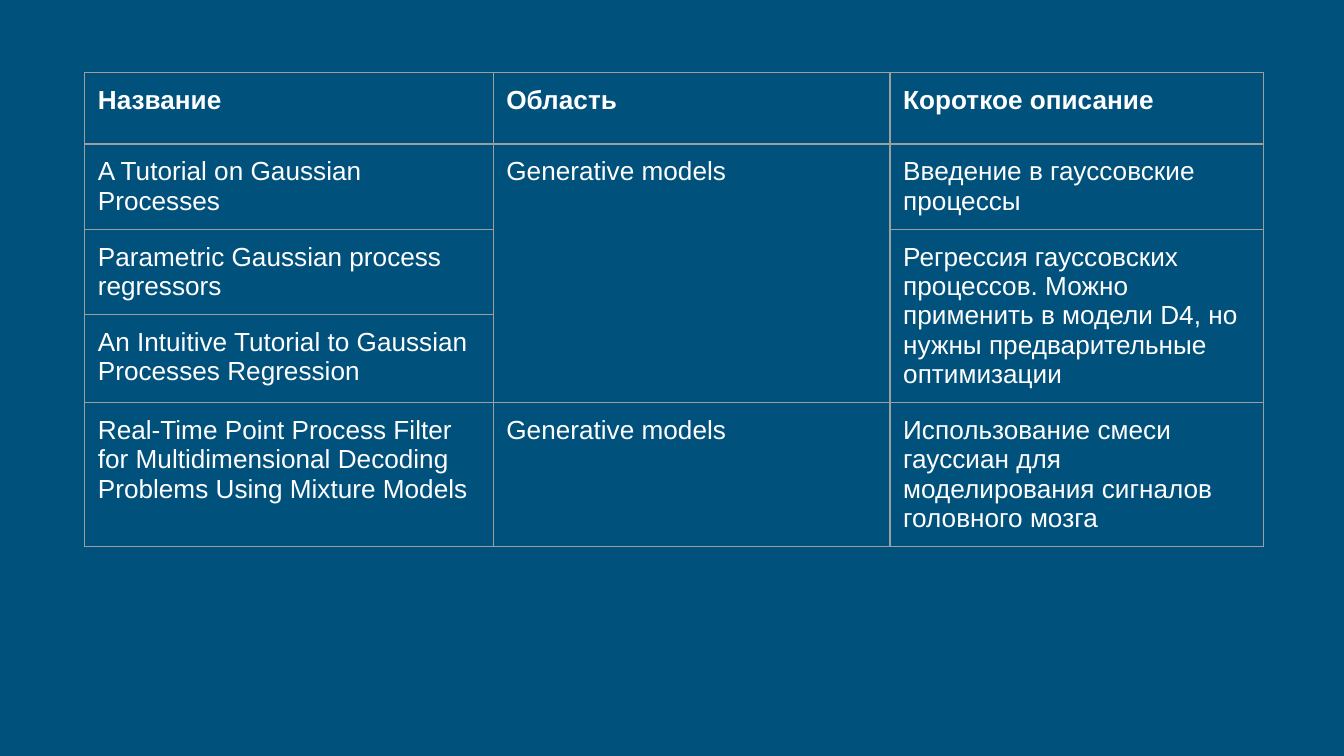
import lxml.etree
import pptx
import pptx.dml.color
import pptx.oxml.ns
import pptx.util

Cm = pptx.util.Cm


def color(value):
    return pptx.dml.color.RGBColor.from_string(value)


class SlideBuilder:
    font = "Arial"
    text_size = pptx.util.Pt(14)
    text_color = "FFFFFF"
    background = "00517C"
    border_color = "9E9E9E"
    border_width = pptx.util.Pt(0.75)
    inset = Cm(0.25)

    def __init__(self, presentation):
        self.slide = presentation.slides.add_slide(presentation.slide_layouts[6])
        fill = self.slide.background.fill
        fill.solid()
        fill.fore_color.rgb = color(self.background)

    def border(self, cell):
        properties = cell._tc.get_or_add_tcPr()
        qn = pptx.oxml.ns.qn
        for side in ("a:lnL", "a:lnR", "a:lnT", "a:lnB"):
            line = lxml.etree.SubElement(properties, qn(side), w=str(self.border_width))
            fill = lxml.etree.SubElement(line, qn("a:solidFill"))
            lxml.etree.SubElement(fill, qn("a:srgbClr"), val=self.border_color)

    def cell(self, cell, text, bold):
        self.border(cell)
        cell.fill.background()
        cell.margin_left = cell.margin_right = self.inset
        cell.margin_top = cell.margin_bottom = self.inset
        if text:
            run = cell.text_frame.paragraphs[0].add_run()
            run.text = text
            run.font.name = self.font
            run.font.size = self.text_size
            run.font.bold = bold
            run.font.color.rgb = color(self.text_color)

    def table(self, left, top, widths, heights, rows, merges):
        frame = self.slide.shapes.add_table(
            len(heights), len(widths), Cm(left), Cm(top),
            Cm(sum(widths)), Cm(sum(heights)))
        table = frame.table
        table.first_row = False
        table.horz_banding = False
        for column, width in zip(table.columns, widths):
            column.width = Cm(width)
        for row, height in zip(table.rows, heights):
            row.height = Cm(height)
        for row_index, row in enumerate(rows):
            for column_index, text in enumerate(row):
                self.cell(table.cell(row_index, column_index), text, row_index == 0)
        for first, last in merges:
            table.cell(*first).merge(table.cell(*last))


def main():
    presentation = pptx.Presentation()
    presentation.slide_width = Cm(25.4)
    presentation.slide_height = Cm(14.29)

    papers = [
        ("Название", "Область", "Короткое описание"),
        ("A Tutorial on Gaussian Processes", "Generative models",
         "Введение в гауссовские процессы"),
        ("Parametric Gaussian process regressors", None,
         "Регрессия гауссовских процессов. Можно применить в модели D4, "
         "но нужны предварительные оптимизации"),
        ("An Intuitive Tutorial to Gaussian Processes Regression", None, None),
        ("Real-Time Point Process Filter for Multidimensional Decoding "
         "Problems Using Mixture Models", "Generative models",
         "Использование смеси гауссиан для моделирования сигналов головного мозга"),
    ]
    builder = SlideBuilder(presentation)
    builder.table(
        1.6, 1.37, [7.72, 7.5, 7.06], [1.35, 1.57, 1.35, 1.35, 1.35], papers,
        merges=[((1, 1), (3, 1)), ((2, 2), (3, 2))])

    presentation.save("out.pptx")


if __name__ == "__main__":
    main()
